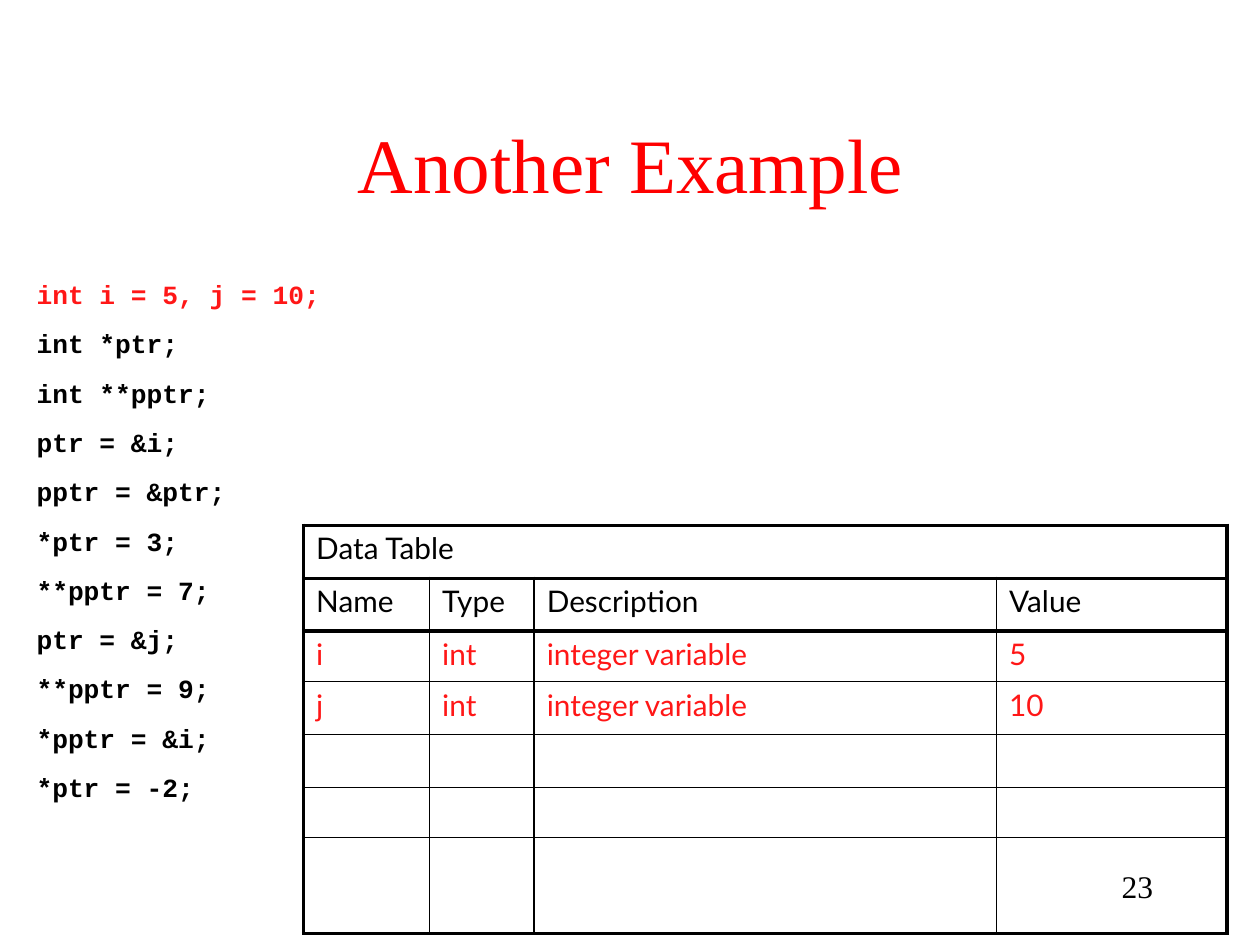
from lxml.etree import SubElement
from pptx import Presentation
from pptx.dml.color import RGBColor
from pptx.enum.text import MSO_ANCHOR as Anchor, MSO_AUTO_SIZE as AutoSize, PP_ALIGN as Align
from pptx.oxml.ns import qn
from pptx.util import Emu, Inches, Pt

WIDTH, HEIGHT = 10, 7.5
BLACK, RED, CODE_RED = "000000", "FF0000", "FF1717"
THIN, THICK = 1, 2.25
INDENT = 0.04

CODE = [
    "int i = 5, j = 10;", "int *ptr;", "int **pptr;", "ptr = &i;",
    "pptr = &ptr;", "*ptr = 3;", "**pptr = 7;", "ptr = &j;",
    "**pptr = 9;", "*pptr = &i;", "*ptr = -2;",
]
COLUMNS = [1, 0.83, 3.67, 1.83]
ROWS = [0.42, 0.42, 0.4, 0.42, 0.42, 0.4, 0.76]
CELLS = [
    ["Data Table"],
    ["Name", "Type", "Description", "Value"],
    ["i", "int", "integer variable", "5"],
    ["j", "int", "integer variable", "10"],
]
HEADER_ROWS = 2


def color(value):
    return RGBColor.from_string(value)


def write(paragraph, text, size=18, font="Times New Roman", fill=BLACK,
          bold=False, align=Align.LEFT, before=0, indent=0):
    properties = paragraph._p.get_or_add_pPr()
    properties.set("marL", str(Inches(indent)))
    properties.set("indent", "0")
    SubElement(properties, qn("a:buNone"))
    paragraph.alignment = align
    paragraph.space_before = Pt(before)
    span = paragraph.add_run()
    span.text = text
    span.font.size = Pt(size)
    span.font.name = font
    span.font.bold = bold
    span.font.color.rgb = color(fill)


def place(box, left, top, width, height):
    box.left, box.top = Inches(left), Inches(top)
    box.width, box.height = Inches(width), Inches(height)


def set_frame(frame, left=0.1, top=0.05, right=0.1, bottom=0.05, anchor=Anchor.TOP):
    frame.word_wrap = True
    frame.auto_size = AutoSize.NONE
    frame.vertical_anchor = anchor
    frame.margin_left, frame.margin_top = Inches(left), Inches(top)
    frame.margin_right, frame.margin_bottom = Inches(right), Inches(bottom)


def add_title(slide):
    title = slide.shapes.title
    place(title, 0.75, 0.67, 0.85 * WIDTH, HEIGHT / 6)
    set_frame(title.text_frame, right=0.13, anchor=Anchor.MIDDLE)
    write(title.text_frame.paragraphs[0], "Another Example", size=44, fill=RED,
          align=Align.CENTER, indent=INDENT)


def add_code(slide):
    box = slide.placeholders[1]
    place(box, 0.25, 2.17, 9.35, 4.03)
    frame = box.text_frame
    set_frame(frame, left=0, top=0.04, right=0.04, bottom=0)
    for index, line in enumerate(CODE):
        paragraph = frame.add_paragraph() if index else frame.paragraphs[0]
        write(paragraph, line, size=15, font="Courier New", bold=True, indent=INDENT,
              fill=BLACK if index else CODE_RED, before=10.15 if index else 0)


def set_borders(cell, **widths):
    properties = cell._tc.get_or_add_tcPr()
    for side in "LRTB":
        line = SubElement(properties, qn(f"a:ln{side}"), w=str(Pt(widths[side])))
        fill = SubElement(line, qn("a:solidFill"))
        SubElement(fill, qn("a:srgbClr"), val=BLACK)


def add_data_table(slide):
    frame = slide.shapes.add_table(len(ROWS), len(COLUMNS), Inches(2.41), Inches(4.17),
                                   Inches(sum(COLUMNS)), Inches(sum(ROWS)))
    table = frame.table
    table.first_row = table.horz_banding = False
    for column, width in zip(table.columns, COLUMNS):
        column.width = Inches(width)
    for row, height in zip(table.rows, ROWS):
        row.height = Inches(height)
    table.cell(0, 0).merge(table.cell(0, len(COLUMNS) - 1))

    last_row, last_column = len(ROWS) - 1, len(COLUMNS) - 1
    for r in range(len(ROWS)):
        for c in range(len(COLUMNS)):
            cell = table.cell(r, c)
            cell.margin_left = Inches(0.1)
            cell.margin_right = cell.margin_top = cell.margin_bottom = Inches(0.04)
            set_borders(
                cell,
                L=THICK if c == 0 else THIN,
                R=THICK if r == 0 or c == last_column else THIN,
                T=THICK if r <= HEADER_ROWS else THIN,
                B=THICK if r < HEADER_ROWS or r == last_row else THIN,
            )
            cell.fill.background()
    for r, texts in enumerate(CELLS):
        for c, text in enumerate(texts):
            write(table.cell(r, c).text_frame.paragraphs[0], text, size=17, font="Lato",
                  fill=BLACK if r < HEADER_ROWS else CODE_RED)


def add_page_number(slide):
    box = slide.shapes.add_textbox(Emu(0), Emu(0), Emu(0), Emu(0))
    place(box, 7.17, 6.83, 2.08, 0.5)
    set_frame(box.text_frame)
    write(box.text_frame.paragraphs[0], "23", align=Align.RIGHT)


def main():
    deck = Presentation()
    deck.slide_width, deck.slide_height = Inches(WIDTH), Inches(HEIGHT)
    slide = deck.slides.add_slide(deck.slide_layouts[1])
    add_title(slide)
    add_code(slide)
    add_data_table(slide)
    add_page_number(slide)
    deck.save("out.pptx")


if __name__ == "__main__":
    main()
